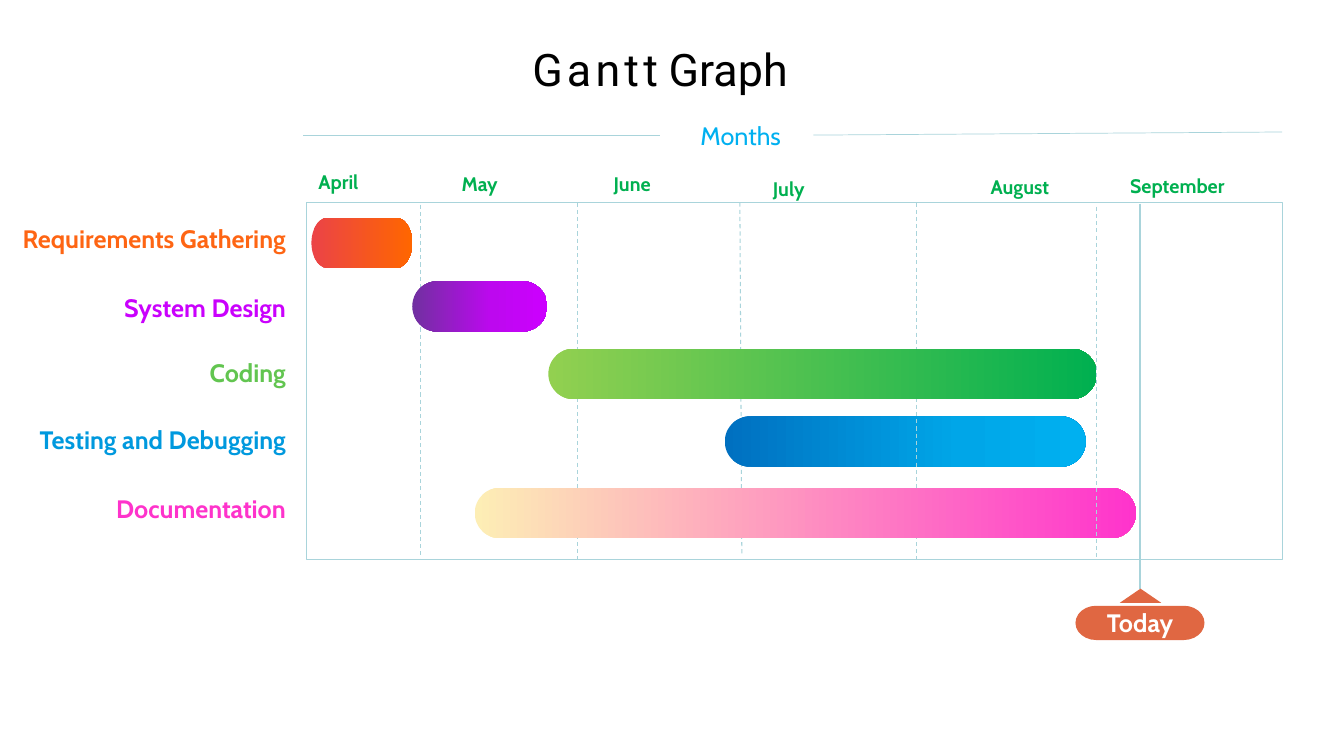
from dataclasses import dataclass

from lxml import etree
from pptx import Presentation
from pptx.dml.color import RGBColor
from pptx.enum.dml import MSO_LINE
from pptx.enum.shapes import MSO_CONNECTOR, MSO_SHAPE
from pptx.enum.text import MSO_ANCHOR, PP_ALIGN
from pptx.oxml.ns import qn
from pptx.util import Pt

LEFT, CENTER, RIGHT = PP_ALIGN.LEFT, PP_ALIGN.CENTER, PP_ALIGN.RIGHT
TOP, MIDDLE = MSO_ANCHOR.TOP, MSO_ANCHOR.MIDDLE
RECTANGLE, PILL = MSO_SHAPE.RECTANGLE, MSO_SHAPE.ROUNDED_RECTANGLE
TERMINATOR, TRIANGLE = MSO_SHAPE.FLOWCHART_TERMINATOR, MSO_SHAPE.ISOSCELES_TRIANGLE
STRAIGHT, DASH = MSO_CONNECTOR.STRAIGHT, MSO_LINE.DASH


@dataclass(frozen=True)
class Theme:
    title_font: str = "Roboto"
    body_font: str = "Cabin"
    title_size: float = 32
    gap_size: float = 18
    label_size: float = 18
    month_size: float = 14
    title: str = "000000"
    axis: str = "00B0F0"
    month: str = "00B050"
    grid: str = "A9D4DB"
    today: str = "E06742"
    today_text: str = "FFFFFF"
    requirements: str = "FE6513"
    design: str = "CA01FD"
    coding: str = "62C550"
    testing: str = "0099DE"
    documentation: str = "FE33CB"
    # Gradient stops: percent along the bar, colour
    requirements_bar: tuple = ((0, "EB4347"), (100, "FF6600"))
    design_bar: tuple = ((0, "7030A0"), (59, "BD08EF"), (100, "CC00FF"))
    coding_bar: tuple = ((0, "92D050"), (100, "00B050"))
    testing_bar: tuple = ((0, "0070C0"), (65, "00A6E8"), (100, "00B0F0"))
    documentation_bar: tuple = ((0, "FDEEB5"), (100, "FF33CC"))


THEME = Theme()
BAR_HEIGHT = 36
GRID_TOP, GRID_BOTTOM = 144.7, 399.6

# Name, left, top, alignment
MONTHS = (
    ("April", 220.3, 118.1, LEFT),
    ("May", 322.6, 119.5, LEFT),
    ("June", 431.3, 119.5, LEFT),
    ("July", 545, 123.1, LEFT),
    ("August", 674.6, 121.7, CENTER),
    ("September", 787, 121, CENTER),
)

# Name, label top, label colour
TASKS = (
    ("Requirements Gathering", 156.2, THEME.requirements),
    ("System Design", 205.2, THEME.design),
    ("Coding", 252, THEME.coding),
    ("Testing and Debugging", 299.5, THEME.testing),
    ("Documentation", 348.5, THEME.documentation),
)


def add_span(para, text, size, color, font=THEME.body_font, bold=False):
    span = para.add_run()
    span.text = text
    span.font.name = font
    span.font.size = Pt(size)
    span.font.bold = bold
    span.font.color.rgb = RGBColor.from_string(color)
    return span


def place(shape, left, top, width, height):
    shape.left, shape.top = Pt(left), Pt(top)
    shape.width, shape.height = Pt(width), Pt(height)


def add_title(page):
    title = page.shapes.title
    place(title, 373, 25.9, 259.9, 46.1)
    frame = title.text_frame
    frame.word_wrap = True
    frame.vertical_anchor = TOP
    para = frame.paragraphs[0]
    para.alignment = LEFT
    for text, size, spacing in (
        ("Gantt", THEME.title_size, 3),
        (" ", THEME.gap_size, 0),
        ("Graph", THEME.title_size, 0),
    ):
        span = add_span(para, text, size, THEME.title, THEME.title_font)
        span.font._element.set("spc", str(spacing * 100))


def add_label(page, text, area, size, color, align=LEFT, bold=True):
    box = page.shapes.add_textbox(*map(Pt, area))
    box.text_frame.word_wrap = True
    para = box.text_frame.paragraphs[0]
    para.alignment = align
    add_span(para, text, size, color, bold=bold)


def add_line(page, start, end, width=0.75, dashed=False):
    line = page.shapes.add_connector(STRAIGHT, *map(Pt, start + end))
    line.line.color.rgb = RGBColor.from_string(THEME.grid)
    line.line.width = Pt(width)
    if dashed:
        line.line.dash_style = DASH
    etree.SubElement(line._element.spPr, qn("a:effectLst"))


def add_month_line(page, x, top=GRID_TOP, end_x=None, bottom=GRID_BOTTOM):
    add_line(page, (x, top), (end_x or x, bottom), dashed=True)


def add_solid(page, kind, area, fill):
    shape = page.shapes.add_shape(kind, *map(Pt, area))
    shape.shadow.inherit = False
    shape.fill.solid()
    shape.fill.fore_color.rgb = RGBColor.from_string(fill)
    shape.line.fill.background()
    return shape


def add_bar(page, left, top, width, stops, kind=PILL):
    bar = page.shapes.add_shape(kind, Pt(left), Pt(top), Pt(width), Pt(BAR_HEIGHT))
    bar.shadow.inherit = False
    bar.line.fill.background()
    if kind == PILL:
        bar.adjustments[0] = 0.5
    bar.fill.gradient()
    bar.fill.gradient_angle = 0
    stop_list = bar._element.spPr.find(qn("a:gradFill")).find(qn("a:gsLst"))
    for stop in list(stop_list):
        stop_list.remove(stop)
    for percent, color in stops:
        stop = etree.SubElement(stop_list, qn("a:gs"), pos=str(percent * 1000))
        etree.SubElement(stop, qn("a:srgbClr"), val=color)


def add_frame(page):
    frame = page.shapes.add_shape(
        RECTANGLE, Pt(218.9), Pt(GRID_TOP), Pt(697), Pt(GRID_BOTTOM - GRID_TOP))
    frame.shadow.inherit = False
    frame.fill.background()
    frame.line.color.rgb = RGBColor.from_string(THEME.grid)
    frame.line.width = Pt(0.75)


def add_chart_area(page):
    """Draw grid and bars from back to front; later lines cross earlier bars."""
    add_frame(page)
    add_month_line(page, 300.2, top=146.2)
    add_month_line(page, 412.6)
    add_month_line(page, 528.5, end_x=529.9, bottom=396.7)
    add_bar(page, 222.5, 155.5, 72, THEME.requirements_bar, TERMINATOR)
    add_bar(page, 517.7, 297.4, 257.8, THEME.testing_bar)
    add_bar(page, 294.5, 200.9, 96.5, THEME.design_bar)
    add_month_line(page, 654.5)
    add_bar(page, 391.7, 249.1, 391.7, THEME.coding_bar)
    add_bar(page, 339.1, 348.5, 472.3, THEME.documentation_bar)
    add_month_line(page, 783.4, top=147.6)


def add_today(page):
    add_line(page, (814.3, 145.4), (814.3, 420.5), width=1.5)
    add_solid(page, TRIANGLE, (799.9, 420.5, 29.5, 10.1), THEME.today)
    badge = add_solid(page, TERMINATOR, (774.7, 432.7, 92.2, 24.5), THEME.today)
    place(badge, 768.2, 432.7, 92.2, 24.5)
    badge.text_frame.vertical_anchor = MIDDLE
    para = badge.text_frame.paragraphs[0]
    para.alignment = CENTER
    add_span(para, "Today", THEME.label_size, THEME.today_text, bold=True)


def main():
    deck = Presentation()
    deck.slide_width, deck.slide_height = Pt(960), Pt(540)
    page = deck.slides.add_slide(deck.slide_layouts[5])
    add_title(page)
    for name, top, color in TASKS:
        add_label(page, name, (8.3, top, 203, 28.8), THEME.label_size, color, RIGHT)
    add_chart_area(page)
    add_line(page, (216.7, 96.5), (471.6, 96.5), width=0.5)
    add_label(page, "Months", (493.2, 82.1, 123.1, 28.8),
              THEME.label_size, THEME.axis, bold=False)
    add_line(page, (581, 96.5), (915.8, 94.3), width=0.5)
    for name, left, top, align in MONTHS:
        add_label(page, name, (left, top, 108 if align == CENTER else 98, 24.5),
                  THEME.month_size, THEME.month, align)
    add_today(page)
    deck.save("out.pptx")


if __name__ == "__main__":
    main()
